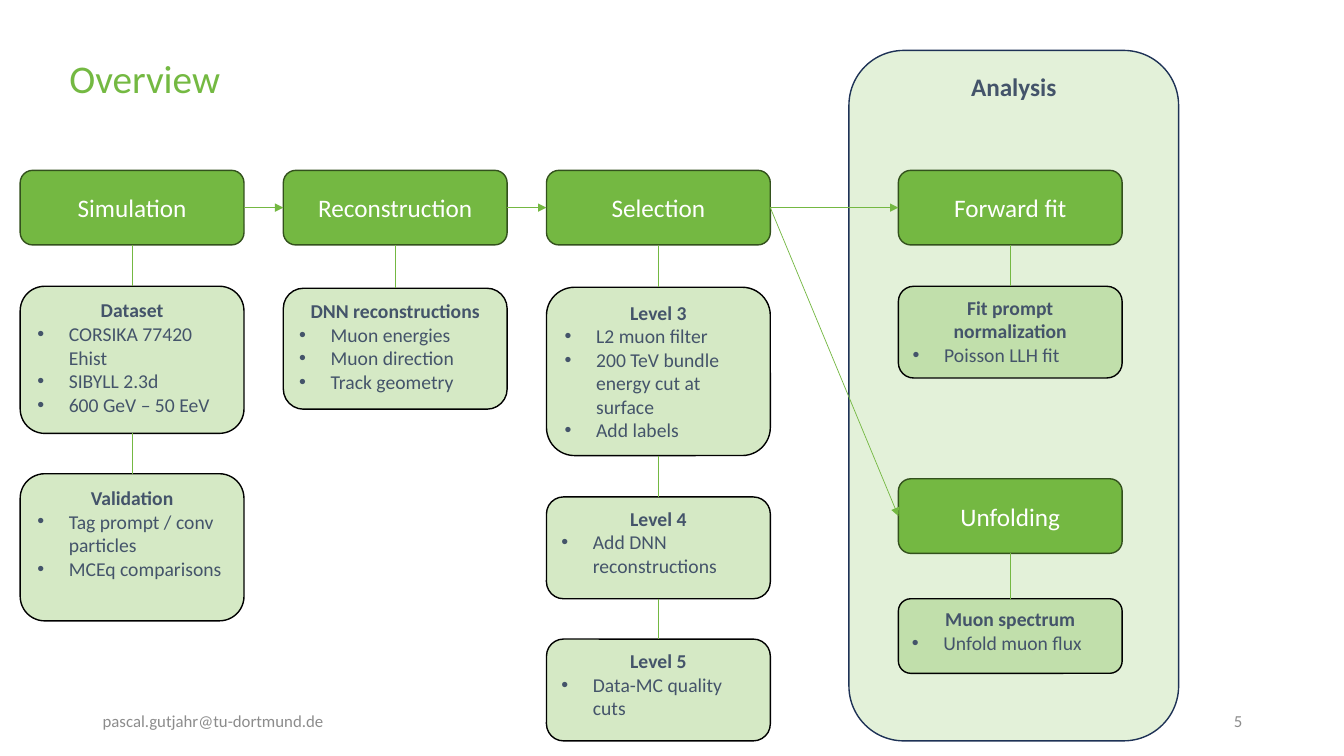
from itertools import pairwise

from lxml.etree import SubElement
from pptx import Presentation
from pptx.dml.color import RGBColor
from pptx.enum.shapes import MSO_CONNECTOR as CONNECTOR, MSO_SHAPE as SHAPE
from pptx.enum.text import MSO_ANCHOR as ANCHOR, PP_ALIGN as ALIGN
from pptx.oxml.ns import qn
from pptx.util import Pt

PX = 9144  # EMU, 100 px to the inch
GREEN = RGBColor(0x74, 0xB8, 0x42)
DARK_GREEN = RGBColor(0x33, 0x51, 0x1D)
PALE_GREEN = RGBColor(0xE3, 0xF1, 0xD9)
TITLE_GREEN = RGBColor(0x74, 0xB9, 0x42)
NAVY = RGBColor(0x1E, 0x32, 0x56)
SLATE = RGBColor(0x44, 0x54, 0x6A)
GRAY = RGBColor(0x8C, 0x8C, 0x8C)
BLACK = RGBColor(0, 0, 0)
WHITE = RGBColor(255, 255, 255)

BOX_W, STEP_Y, STEP_H = 222, 169, 74
TOP, LEFT, BOTTOM, RIGHT = range(4)  # connection sites of a box
INDENT = 285750

# Each chain: left, step name, step top, detail boxes (top, height, heading, bullets)
CHAINS = [
    (20, "Simulation", STEP_Y, [
        (284, 146, "Dataset", ["CORSIKA 77420 Ehist", "SIBYLL 2.3d", "600 GeV – 50 EeV"]),
        (470, 146, "Validation", ["Tag prompt / conv particles", "MCEq comparisons"]),
    ]),
    (281, "Reconstruction", STEP_Y, [
        (286, 120, "DNN reconstructions", ["Muon energies", "Muon direction", "Track geometry"]),
    ]),
    (542, "Selection", STEP_Y, [
        (285, 167, "Level 3",
         ["L2 muon filter", "200 TeV bundle energy cut at surface", "Add labels"]),
        (493, 101, "Level 4", ["Add DNN reconstructions"]),
        (634, 101, "Level 5", ["Data-MC quality cuts"]),
    ]),
    (891, "Forward fit", STEP_Y, [
        (284, 91, "Fit prompt normalization", ["Poisson LLH fit"]),
    ]),
    (891, "Unfolding", 475, [
        (594, 74, "Muon spectrum", ["Unfold muon flux"]),
    ]),
]
ARROWS = [("Simulation", "Reconstruction"), ("Reconstruction", "Selection"),
          ("Selection", "Forward fit"), ("Selection", "Unfolding")]

prs = Presentation()
prs.slide_width, prs.slide_height = 1333 * PX, 750 * PX
s = prs.slides.add_slide(prs.slide_layouts[6])


def add_box(box, texts, fill=None, line=None, anchor=ANCHOR.TOP, align=ALIGN.CENTER, **font):
    """Add a rounded box, or a plain text box without fill; texts after the first are bullets."""
    box = [v * PX for v in box]
    if fill is None:
        sp = s.shapes.add_textbox(*box)
    else:
        sp = s.shapes.add_shape(SHAPE.ROUNDED_RECTANGLE, *box)
        sp.shadow.inherit = False
        sp.fill.solid()
        sp.fill.fore_color.rgb = fill
        sp.line.color.rgb = line
        sp.line.width = Pt(1)
    tf = sp.text_frame
    tf.word_wrap = True
    tf.vertical_anchor = anchor
    for i, text in enumerate(texts):
        p = tf.paragraphs[0] if i == 0 else tf.add_paragraph()
        p.alignment = ALIGN.LEFT if i else align
        if i:
            pPr = p._p.get_or_add_pPr()
            pPr.set("marL", str(INDENT))
            pPr.set("indent", str(-INDENT))
            SubElement(pPr, qn("a:buFont"), typeface="Arial")
            SubElement(pPr, qn("a:buChar"), char="•")
        r = p.add_run()
        r.text = text
        r.font.name = "Calibri"
        r.font.color.rgb = font["color"]
        r.font.size = Pt(font["size"])
        r.font.bold = font.get("bold", False) and i == 0
    return sp


def connect(start, start_site, end, end_site, arrow=False):
    cxn = s.shapes.add_connector(CONNECTOR.STRAIGHT, 0, 0, 0, 0)
    cxn.begin_connect(start, start_site)
    cxn.end_connect(end, end_site)
    cxn.line.color.rgb = GREEN
    cxn.line.width = Pt(0.5)
    if arrow:
        SubElement(cxn.line._get_or_add_ln(), qn("a:tailEnd"), type="triangle")
    SubElement(cxn._element.spPr, qn("a:effectLst"))


add_box((842, 50, 327, 685), ["Analysis"], PALE_GREEN, NAVY, size=18, color=SLATE, bold=True)
title = add_box((59, 40, 1259, 81), ["Overview"], anchor=ANCHOR.MIDDLE, align=ALIGN.LEFT,
                size=28, color=TITLE_GREEN)
title.text_frame.paragraphs[0].line_spacing = 0.9
for left, text, align in [(92, "pascal.gutjahr@tu-dortmund.de", ALIGN.LEFT),
                          (942, "5", ALIGN.RIGHT)]:
    add_box((left, 695, 300, 40), [text], anchor=ANCHOR.MIDDLE, align=align,
            size=12, color=GRAY)

steps = {}
for left, name, top, details in CHAINS:
    steps[name] = add_box((left, top, BOX_W, STEP_H), [name], GREEN, DARK_GREEN,
                          ANCHOR.MIDDLE, size=18, color=WHITE)
    chain = [steps[name]]
    for y, height, heading, bullets in details:
        sp = add_box((left, y, BOX_W, height), [heading, *bullets], GREEN, BLACK,
                     size=14, color=SLATE, bold=True)
        color = sp.fill._xPr.find(".//" + qn("a:solidFill"))[0]
        SubElement(color, qn("a:alpha"), val="30000")
        chain.append(sp)
    for upper, lower in pairwise(chain):
        connect(upper, BOTTOM, lower, TOP)

for start, end in ARROWS:
    connect(steps[start], RIGHT, steps[end], LEFT, arrow=True)

prs.save("out.pptx")
